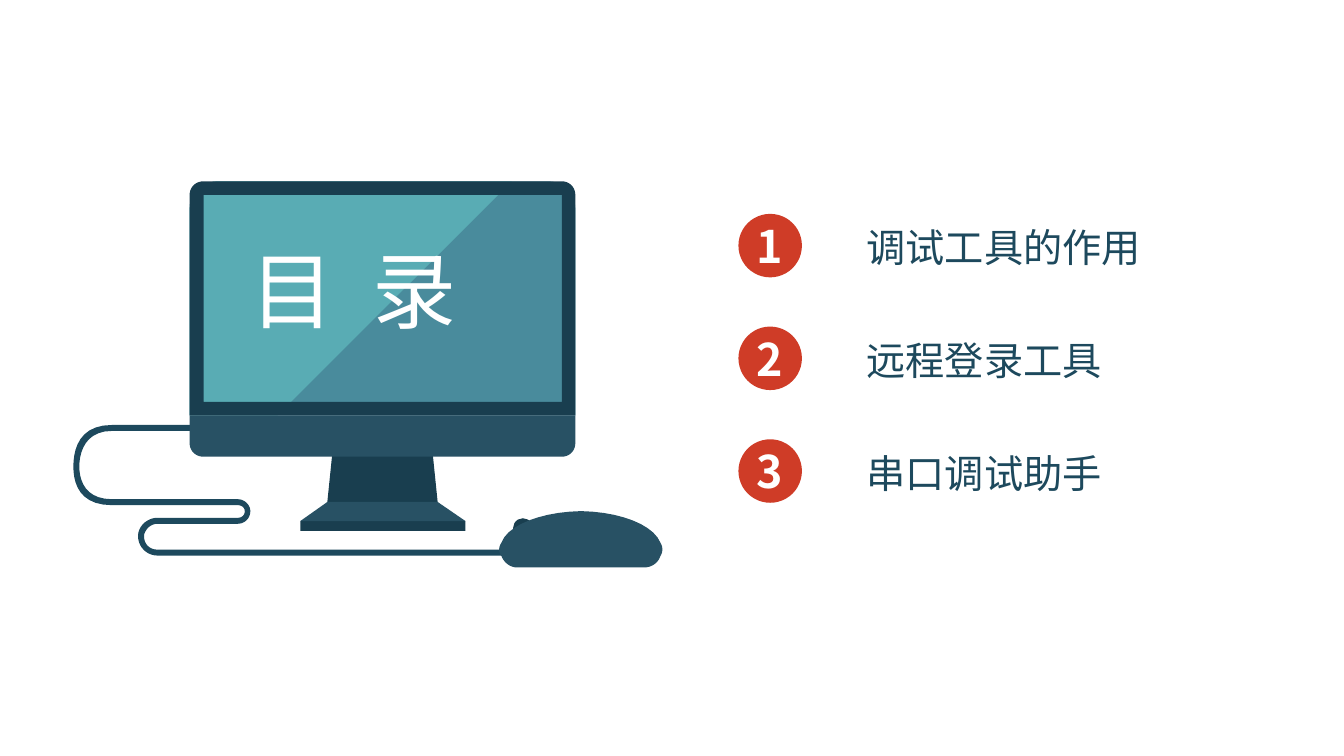
from lxml.etree import SubElement
from pptx import Presentation
from pptx.dml.color import RGBColor
from pptx.enum.shapes import MSO_SHAPE
from pptx.enum.text import MSO_ANCHOR, PP_ALIGN
from pptx.oxml.ns import qn
from pptx.util import Cm, Pt

NAVY = RGBColor(0x19, 0x3E, 0x4F)
SLATE = RGBColor(0x28, 0x51, 0x64)
INK = RGBColor(0x1D, 0x49, 0x5D)
STEEL = RGBColor(0x49, 0x8B, 0x9C)
TEAL = RGBColor(0x59, 0xAC, 0xB4)
RED = RGBColor(0xCF, 0x3C, 0x27)
WHITE = RGBColor(0xFF, 0xFF, 0xFF)
SANS = "Noto Sans CJK SC"
SANS_JP = "Noto Sans CJK JP"
STEPS = 10

TOPICS = ["调试工具的作用", "远程登录工具", "串口调试助手"]

# Outlines in cm: a pair is a corner, six numbers are a Bezier curve.
CABLE = [
    (5.49, 10.71), (2.82, 10.71),
    (2.01, 10.71, 1.85, 11.3, 1.85, 11.76),
    (1.85, 12.19, 2.01, 12.73, 2.82, 12.73),
    (5.99, 12.73),
    (6.1, 12.73, 6.17, 12.8, 6.17, 12.88),
    (6.17, 12.98, 6.1, 13.05, 5.99, 13.05),
    (3.96, 13.05),
    (3.84, 13.05, 3.73, 13.1, 3.63, 13.18),
    (3.53, 13.28, 3.48, 13.39, 3.48, 13.51),
    (3.48, 13.79, 3.71, 14, 3.96, 14),
    (12.65, 14), (12.65, 13.85), (3.96, 13.85),
    (3.78, 13.85, 3.63, 13.72, 3.63, 13.51),
    (3.63, 13.44, 3.68, 13.36, 3.73, 13.3),
    (3.81, 13.23, 3.89, 13.2, 3.96, 13.2),
    (5.99, 13.2),
    (6.17, 13.2, 6.31, 13.06, 6.31, 12.88),
    (6.31, 12.73, 6.17, 12.58, 5.99, 12.58),
    (2.82, 12.58),
    (2.16, 12.58, 2, 12.12, 2, 11.76),
    (2, 11.38, 2.16, 10.86, 2.82, 10.86),
    (5.49, 10.86),
]
MOUSE = [
    (12.64, 13.67),
    (12.8, 13.23, 13.64, 12.9, 14.64, 12.88),
    (15.65, 12.9, 16.46, 13.23, 16.64, 13.67),
    (16.71, 13.79, 16.71, 13.9, 16.64, 14.02),
    (16.59, 14.17, 16.44, 14.3, 16.23, 14.3),
    (13.03, 14.3),
    (12.85, 14.3, 12.7, 14.17, 12.64, 14.02),
    (12.56, 13.9, 12.56, 13.79, 12.64, 13.67),
]
NECK = [(8.38, 11.38), (10.9, 11.38), (11.03, 12.65), (8.25, 12.65)]
FOOT = [(8.25, 12.65), (11.03, 12.65), (11.73, 13.13), (7.57, 13.13)]
SCREEN = [
    (4.78, 10.47), (4.78, 5.26), (4.78, 4.88, 5.11, 4.57, 5.49, 4.57),
    (13.82, 4.57), (14.2, 4.57, 14.5, 4.88, 14.5, 5.26), (14.5, 10.47),
]
GLARE = SCREEN[:3] + [(12.9, 4.57), (6.99, 10.47)]
FRAME = [
    (4.78, 10.47), (4.78, 4.91), (4.78, 4.72, 4.93, 4.57, 5.13, 4.57),
    (14.16, 4.57), (14.35, 4.57, 14.5, 4.72, 14.5, 4.91), (14.5, 10.47),
]
WINDOW = [(5.13, 4.91), (14.16, 4.91), (14.16, 10.13), (5.13, 10.13)]
CHIN = [
    (4.78, 10.47), (4.78, 11.17), (4.78, 11.36, 4.93, 11.51, 5.13, 11.51),
    (14.16, 11.51), (14.35, 11.51, 14.5, 11.36, 14.5, 11.17), (14.5, 10.47),
]


def trace(nodes):
    """Turn corners and Bezier curves into a list of points."""
    pts = [nodes[0]]
    for node in nodes[1:]:
        if len(node) == 2:
            pts.append(node)
            continue
        ends = [pts[-1], node[:2], node[2:4], node[4:]]
        for i in range(1, STEPS + 1):
            t = i / STEPS
            parts = ((1 - t) ** 3, 3 * t * (1 - t) ** 2,
                     3 * t * t * (1 - t), t ** 3)
            pts.append(tuple(sum(w * end[axis] for w, end in zip(parts, ends))
                             for axis in (0, 1)))
    return [(Cm(x), Cm(y)) for x, y in pts]


def paint(shape, color):
    shape.shadow.inherit = False
    shape.fill.solid()
    shape.fill.fore_color.rgb = color
    shape.line.fill.background()


def add_form(slide, color, nodes, hole=None):
    first, *rest = trace(nodes)
    form = slide.shapes.build_freeform(*first)
    form.add_line_segments(rest)
    if hole:
        first, *rest = trace(hole)
        form.move_to(*first)
        form.add_line_segments(rest)
    paint(form.convert_to_shape(), color)


def add_block(slide, kind, color, left, top, width, height):
    box = slide.shapes.add_shape(kind, Cm(left), Cm(top), Cm(width), Cm(height))
    paint(box, color)
    return box


def add_run(para, text, size, color, face, bold=False):
    run = para.add_run()
    run.text = text
    font = run.font
    font.size, font.bold, font.name = Pt(size), bold, face
    font.color.rgb = color
    props = run._r.get_or_add_rPr()
    SubElement(props, qn("a:ea")).set("typeface", face)
    return props


def add_topic(slide, index, text):
    disc = add_block(slide, MSO_SHAPE.OVAL, RED,
                     18.61, 5.39 + 2.84 * index, 1.6, 1.6)
    frame = disc.text_frame
    frame.margin_left = frame.margin_right = 0
    frame.vertical_anchor = MSO_ANCHOR.MIDDLE
    para = frame.paragraphs[0]
    para.alignment = PP_ALIGN.CENTER
    add_run(para, str(index + 1), 32, WHITE, SANS, bold=True)

    label = slide.shapes.add_textbox(
        Cm(21.59), Cm(5.49 + 2.86 * index), Cm(10), Cm(1.45))
    label.text_frame.word_wrap = True
    add_run(label.text_frame.paragraphs[0], text, 28, INK, SANS_JP)


def set_title(slide):
    title = slide.shapes.title
    title.left, title.top = Cm(6.07), Cm(5.87)
    title.width, title.height = Cm(8.56), Cm(2.82)
    title.text_frame.vertical_anchor = MSO_ANCHOR.TOP
    para = title.text_frame.paragraphs[0]
    para.alignment = PP_ALIGN.LEFT
    for text in "目 录":
        props = add_run(para, text, 60, WHITE, SANS)
        if text == " ":
            props.set("spc", "1350")
    # Bring the title in front of the screen
    title.element.getparent().append(title.element)


def draw_desk(slide):
    add_block(slide, MSO_SHAPE.OVAL, NAVY, 12.93, 13.06, 0.5, 0.5)
    add_form(slide, INK, CABLE)
    add_form(slide, SLATE, MOUSE)
    add_form(slide, NAVY, NECK)
    add_block(slide, MSO_SHAPE.RECTANGLE, NAVY, 7.57, 13.13, 4.16, 0.25)
    add_form(slide, STEEL, SCREEN)
    add_form(slide, TEAL, GLARE)
    add_form(slide, NAVY, FRAME, WINDOW)
    add_form(slide, SLATE, CHIN)
    add_form(slide, SLATE, FOOT)


def main():
    deck = Presentation()
    deck.slide_width, deck.slide_height = Cm(33.87), Cm(19.05)
    slide = deck.slides.add_slide(deck.slide_layouts[5])
    draw_desk(slide)
    for index, text in enumerate(TOPICS):
        add_topic(slide, index, text)
    set_title(slide)
    deck.save("out.pptx")


if __name__ == "__main__":
    main()
